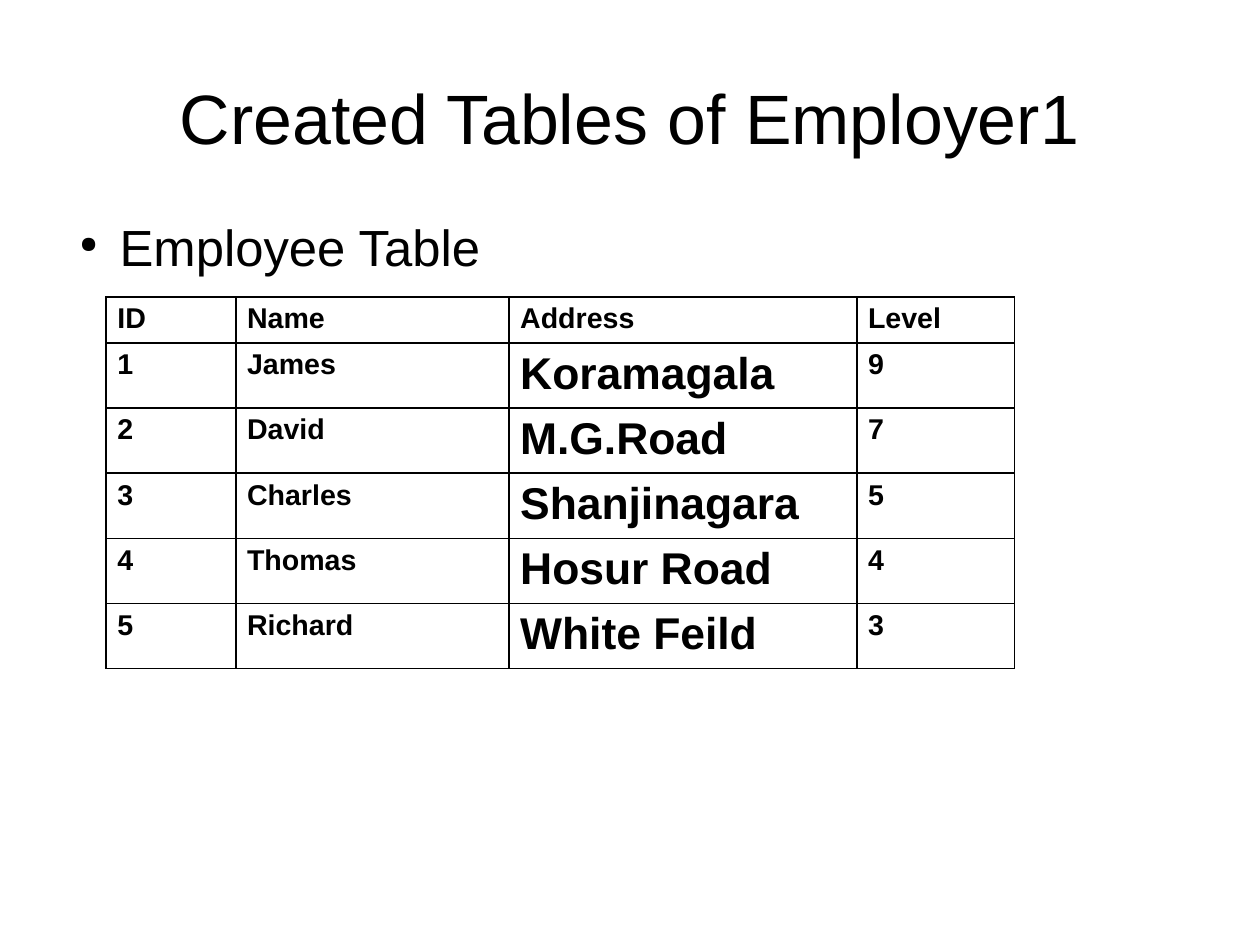
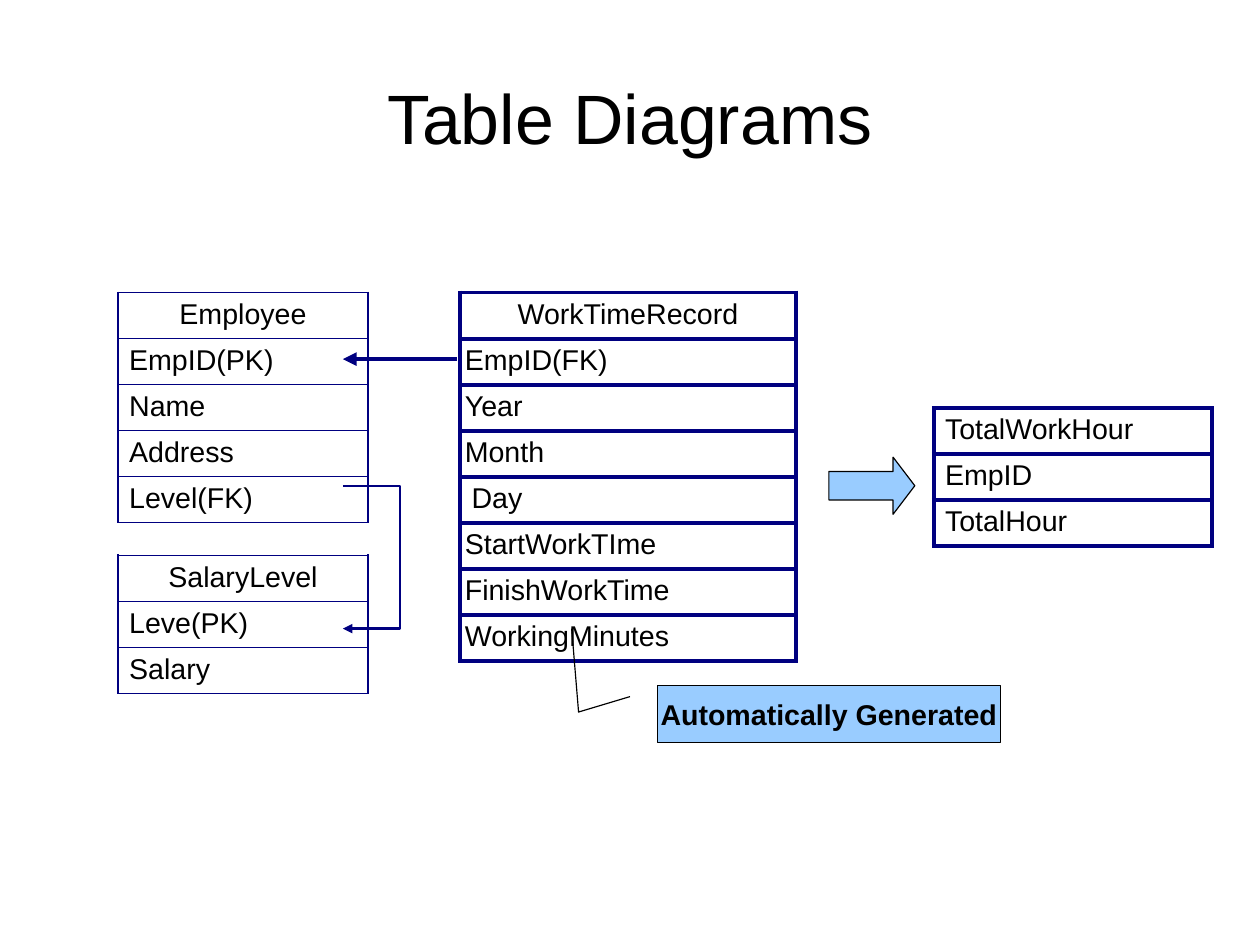
"""Build two slides: an employee table and a diagram of linked tables."""
from pptx import Presentation
from pptx.dml.color import RGBColor
from pptx.enum import shapes, text
from pptx.oxml import parse_xml
from pptx.oxml.ns import nsdecls
from pptx.util import Cm, Pt

COLOURS = {"ink": "000000", "paper": "FFFFFF", "navy": "000080", "sky": "99CCFF"}
FONT = "Arial"
LEFT, CENTRE = text.PP_ALIGN.LEFT, text.PP_ALIGN.CENTER
TOP, MIDDLE = text.MSO_ANCHOR.TOP, text.MSO_ANCHOR.MIDDLE
INSET = (0.25, 0.13)
ROW = 1.02

EMPLOYEES = [
    ("ID", "Name", "Address", "Level"),
    ("1", "James", "Koramagala", "9"),
    ("2", "David", "M.G.Road", "7"),
    ("3", "Charles", "Shanjinagara", "5"),
    ("4", "Thomas", "Hosur Road", "4"),
    ("5", "Richard", "White Feild", "3"),
]
EMPLOYEE_COLUMNS = (2.88, 6.07, 7.73, 3.5)
ADDRESS_COLUMN = 2

ENTITIES = [
    dict(left=2.62, top=6.5, width=5.56, border=1.13, heading="Employee",
         fields=("EmpID(PK)", "Name", "Address", "Level(FK)")),
    dict(left=2.62, top=12.34, width=5.56, border=1.13, heading="SalaryLevel",
         fields=("Leve(PK)", "Salary")),
    dict(left=10.23, top=6.5, width=7.45, border=2.83, heading="WorkTimeRecord", inset=0.1,
         fields=("EmpID(FK)", "Year", "Month", "Day", "StartWorkTIme",
                 "FinishWorkTime", "WorkingMinutes")),
    dict(left=20.75, top=9.07, width=6.18, border=2.83,
         fields=("TotalWorkHour", "EmpID", "TotalHour")),
]
WIDER_INSETS = {"Day": 0.25}


def colour(name):
    return RGBColor.from_string(COLOURS[name])


def element(body):
    tag, _, rest = body.partition(" ")
    return parse_xml(f"<a:{tag} {nsdecls('a')} {rest}")


def write(frame, words, size=18, bold=False, align=LEFT, bullet=None):
    paragraph = frame.paragraphs[0]
    paragraph.text = words
    paragraph.alignment = align
    if bullet:
        properties = paragraph._p.get_or_add_pPr()
        properties.set("marL", str(Cm(1.19)))
        properties.set("indent", str(Cm(-0.89)))
        properties.append(element('buSzPct val="45000"/>'))
        properties.append(element(f'buChar char="{bullet}"/>'))
    font = paragraph.runs[0].font
    font.name, font.size, font.bold = FONT, Pt(size), bold
    font.color.rgb = colour("ink")


def set_insets(target, across, down):
    target.margin_left = target.margin_right = Cm(across)
    target.margin_top = target.margin_bottom = Cm(down)


def add_text(slide, box, words, anchor=TOP, **style):
    frame = slide.shapes.add_textbox(*map(Cm, box)).text_frame
    frame.word_wrap = True
    frame.vertical_anchor = anchor
    set_insets(frame, 0, 0)
    write(frame, words, **style)


def add_slide(presentation, title):
    slide = presentation.slides.add_slide(presentation.slide_layouts[6])
    add_text(slide, (1.4, 0.97, 25.2, 3.25), title, anchor=MIDDLE, size=44, align=CENTRE)
    return slide


def add_grid(slide, left, top, columns, rows):
    frame = slide.shapes.add_table(len(rows), len(columns), Cm(left), Cm(top),
                                   Cm(sum(columns)), Cm(sum(rows)))
    table = frame.table
    table.first_row = table.horz_banding = False
    for column, width in zip(table.columns, columns):
        column.width = Cm(width)
    for row, height in zip(table.rows, rows):
        row.height = Cm(height)
    return table


def fill_cell(cell, words, line, border, fill=None, inset=INSET[0], **style):
    write(cell.text_frame, words, **style)
    set_insets(cell, inset, INSET[1])
    properties = cell._tc.get_or_add_tcPr()
    for side in "LRTB":
        properties.append(element(
            f'ln{side} w="{Pt(border)}"><a:solidFill><a:srgbClr val="{COLOURS[line]}"/>'
            f"</a:solidFill></a:ln{side}>"))
    if fill:
        cell.fill.solid()
        cell.fill.fore_color.rgb = colour(fill)
    else:
        cell.fill.background()


def add_entity(slide, left, top, width, border, fields, heading=None, inset=INSET[0]):
    names = ([heading] if heading else []) + list(fields)
    table = add_grid(slide, left, top, [width], [ROW] * len(names))
    for index, name in enumerate(names):
        fill_cell(table.cell(index, 0), name, "navy", border,
                  inset=WIDER_INSETS.get(name, inset),
                  align=CENTRE if name == heading else LEFT)


def draw_arrow_line(shape, width):
    shape.line.color.rgb = colour("navy")
    shape.line.width = Pt(width)
    shape.line._get_or_add_ln().append(element('tailEnd type="triangle"/>'))


def add_block(slide, kind, box, adjustments):
    shape = slide.shapes.add_shape(kind, *map(Cm, box))
    shape.shadow.inherit = False
    shape.fill.solid()
    shape.fill.fore_color.rgb = colour("sky")
    shape.line.color.rgb = colour("ink")
    shape.line.width = Pt(0)
    for index, value in enumerate(adjustments):
        shape.adjustments[index] = value
    return shape


def build_employee_slide(presentation):
    slide = add_slide(presentation, "Created Tables of Employer1")
    add_text(slide, (1.47, 4.8, 25.2, 13.61), "Employee Table", size=32, bullet="●")
    heights = [ROW] + [1.44] * (len(EMPLOYEES) - 1)
    table = add_grid(slide, 2.36, 6.6, EMPLOYEE_COLUMNS, heights)
    for row, values in enumerate(EMPLOYEES):
        for column, value in enumerate(values):
            large = row > 0 and column == ADDRESS_COLUMN
            fill_cell(table.cell(row, column), value, "ink", 1.13, fill="paper",
                      size=28 if large else 18, bold=True)


def build_diagram_slide(presentation):
    slide = add_slide(presentation, "Table Diagrams")
    for entity in ENTITIES:
        add_entity(slide, **entity)

    builder = slide.shapes.build_freeform(Cm(7.62), Cm(10.8))
    builder.add_line_segments(
        [(Cm(x), Cm(y)) for x, y in ((8.89, 10.8), (8.89, 13.97), (7.62, 13.97))], close=False)
    level_link = builder.convert_to_shape()
    level_link.shadow.inherit = False
    level_link.fill.background()
    draw_arrow_line(level_link, 1.45)

    employee_link = slide.shapes.add_connector(
        shapes.MSO_CONNECTOR.STRAIGHT, Cm(10.16), Cm(7.98), Cm(7.62), Cm(7.98))
    draw_arrow_line(employee_link, 2.89)
    employee_link._element.spPr.append(element("effectLst />"))

    callout = add_block(slide, shapes.MSO_SHAPE.LINE_CALLOUT_2, (14.61, 15.24, 7.62, 1.27),
                        (0.19, -0.08, 0.46, -0.23, -1, -0.25))
    frame = callout.text_frame
    frame.word_wrap = False
    frame.vertical_anchor = MIDDLE
    set_insets(frame, *INSET)
    write(frame, "Automatically Generated", bold=True, align=CENTRE)
    add_block(slide, shapes.MSO_SHAPE.RIGHT_ARROW, (18.42, 10.16, 1.91, 1.27), (0.5, 0.38))


def main():
    presentation = Presentation()
    presentation.slide_width, presentation.slide_height = Cm(28), Cm(21)
    build_employee_slide(presentation)
    build_diagram_slide(presentation)
    presentation.save("out.pptx")


if __name__ == "__main__":
    main()
